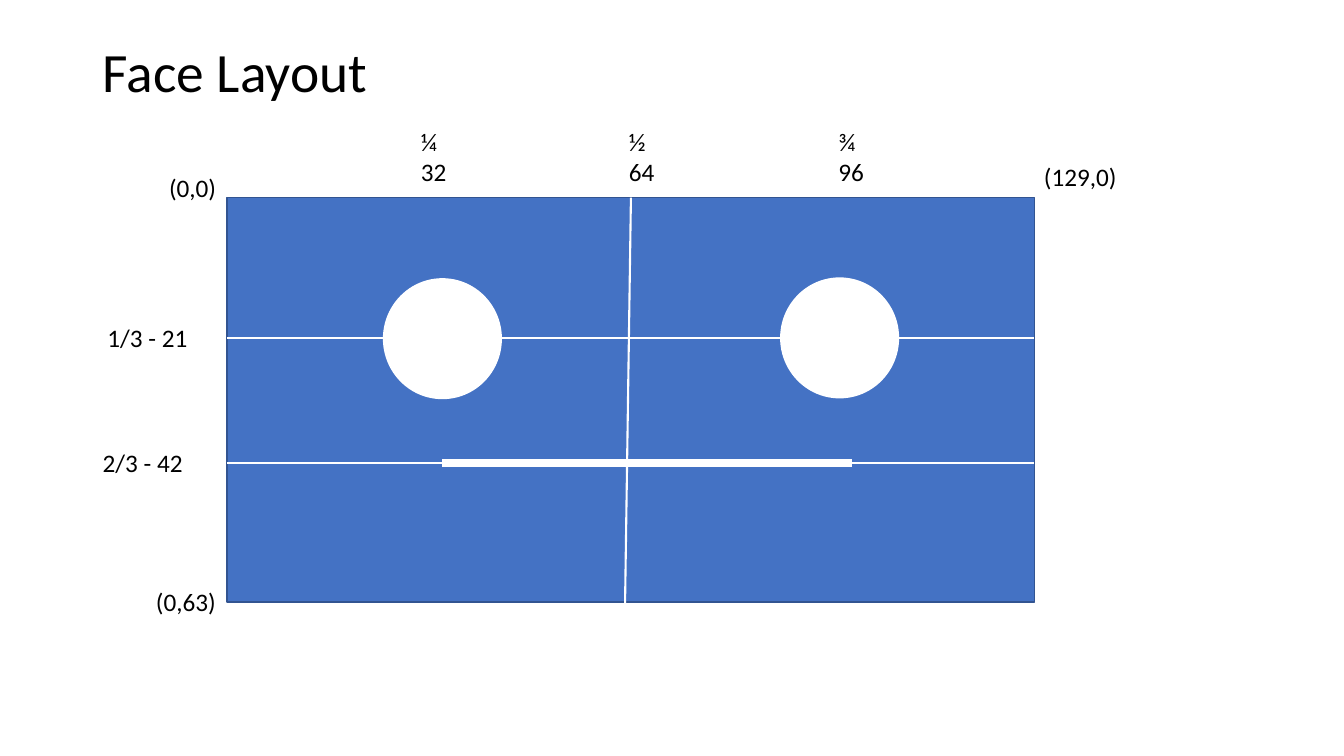
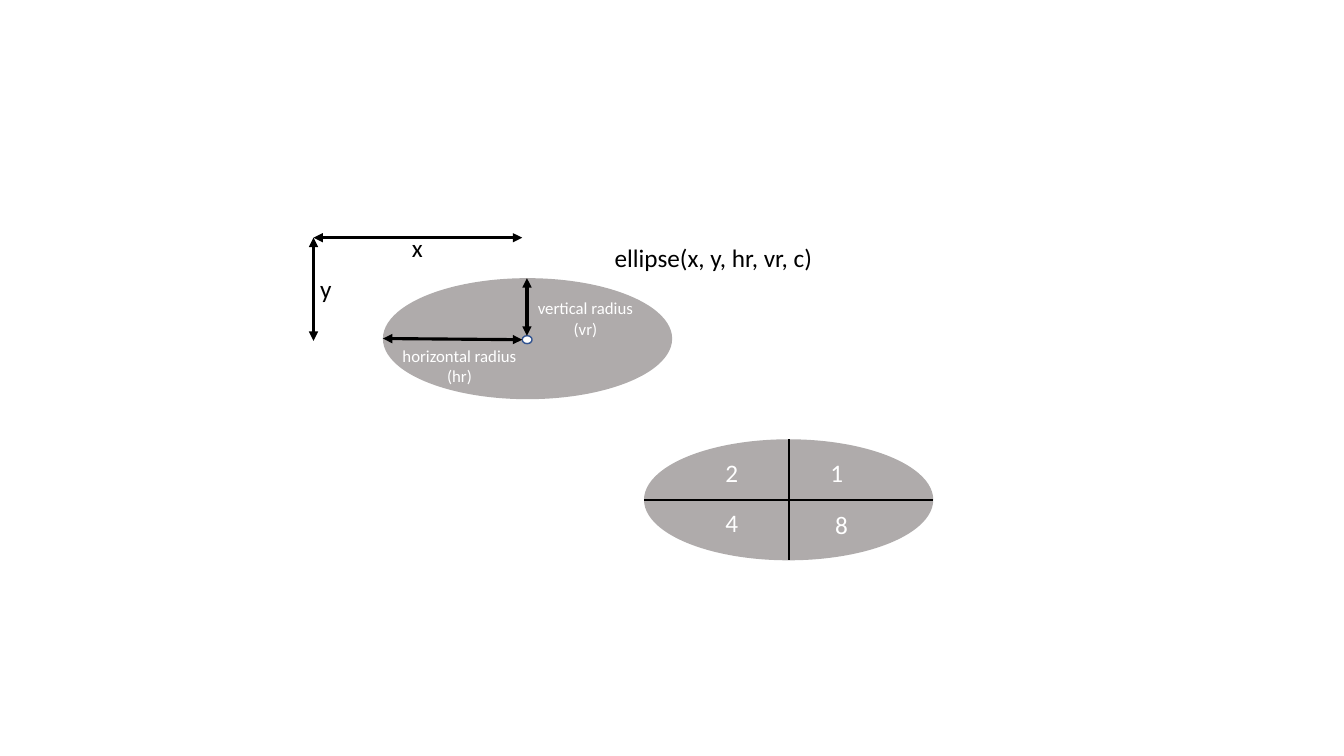
from pptx import Presentation
from pptx.dml.color import RGBColor
from pptx.enum.shapes import MSO_CONNECTOR as Link, MSO_SHAPE as Preset
from pptx.enum.text import MSO_ANCHOR as Anchor, MSO_AUTO_SIZE as Fit, PP_ALIGN as Align
from pptx.oxml.ns import qn
from pptx.util import Cm, Pt
from lxml.etree import SubElement

BLACK = RGBColor(0x00, 0x00, 0x00)
WHITE = RGBColor(0xFF, 0xFF, 0xFF)
BLUE = RGBColor(0x44, 0x72, 0xC4)
NAVY = RGBColor(0x32, 0x54, 0x91)
GREY = RGBColor(0xAF, 0xAB, 0xAB)
FONT = "Calibri"
TITLE_ONLY, BLANK = 5, 6


class Deck:
    def __init__(self):
        self.show = Presentation()
        self.show.slide_width = Cm(33.87)
        self.show.slide_height = Cm(19.05)
        self.slide = None

    def new_slide(self, layout):
        self.slide = self.show.slides.add_slide(self.show.slide_layouts[layout])

    def add_words(self, paragraph, words, size, color, align=Align.LEFT):
        paragraph.alignment = align
        run = paragraph.add_run()
        run.text = words
        run.font.name = FONT
        run.font.size = Pt(size)
        run.font.color.rgb = color

    def title(self, words):
        heading = self.slide.shapes.title
        heading.left, heading.top = Cm(2.34), Cm(1.02)
        heading.width, heading.height = Cm(29.21), Cm(1.7)
        frame = heading.text_frame
        frame.auto_size = Fit.NONE
        frame.vertical_anchor = Anchor.MIDDLE
        frame.paragraphs[0].line_spacing = 0.9
        self.add_words(frame.paragraphs[0], words, 39.6, BLACK)

    def label(self, lines, x, y, width, height=1.02, size=18, color=BLACK, align=Align.LEFT):
        box = self.slide.shapes.add_textbox(Cm(x), Cm(y), Cm(width), Cm(height))
        frame = box.text_frame
        frame.word_wrap = False
        frame.auto_size = Fit.SHAPE_TO_FIT_TEXT
        for i, words in enumerate(lines):
            paragraph = frame.add_paragraph() if i else frame.paragraphs[0]
            self.add_words(paragraph, words, size, color, align)

    def shape(self, preset, x, y, width, height, fill, outline=None):
        figure = self.slide.shapes.add_shape(preset, Cm(x), Cm(y), Cm(width), Cm(height))
        figure.shadow.inherit = False
        figure.fill.solid()
        figure.fill.fore_color.rgb = fill
        if outline is None:
            figure.line.fill.background()
        else:
            figure.line.color.rgb = outline
            figure.line.width = Pt(1)

    def line(self, x1, y1, x2, y2, color, weight=1.5, arrows=False):
        link = self.slide.shapes.add_connector(Link.STRAIGHT, Cm(x1), Cm(y1), Cm(x2), Cm(y2))
        link.line.color.rgb = color
        link.line.width = Pt(weight)
        properties = link._element.spPr
        if arrows:
            for end in ("a:headEnd", "a:tailEnd"):
                SubElement(properties.find(qn("a:ln")), qn(end), type="triangle")
        SubElement(properties, qn("a:effectLst"))


deck = Deck()

deck.new_slide(TITLE_ONLY)
deck.title("Face Layout")
face_left, face_top, face_width, face_height = 5.72, 4.98, 20.35, 10.19
face_right = face_left + face_width
eye_line, mouth_line = 8.51, 11.66
deck.shape(Preset.RECTANGLE, face_left, face_top, face_width, face_height, BLUE, NAVY)
for corner, x, y, width in (("(0,0)", 4.01, 4.22, 1.73), ("(0,63)", 3.68, 14.66, 2.03),
                            ("(129,0)", 26.06, 3.94, 2.36)):
    deck.label([corner], x, y, width)
for third, x, y in (("1/3 - 21", 2.46, eye_line), ("2/3 - 42", 2.34, mouth_line)):
    deck.line(face_left, y, face_right, y, WHITE)
    deck.label([third], x, y - 0.51, 2.54)
for quarter, column, x in (("¼", "32", 10.36), ("½", "64", 15.6), ("¾", "96", 20.88)):
    deck.label([quarter, column], x, 3.05, 1.17, 1.8)
deck.line(15.9, face_top, 15.75, 15.34, WHITE)
for eye_left, eye_top in ((9.65, 7.01), (19.66, 6.99)):
    deck.shape(Preset.OVAL, eye_left, eye_top, 3, 3.05, WHITE)
deck.line(11.15, mouth_line, 21.46, mouth_line, WHITE, 6)

deck.new_slide(BLANK)
oval_width, oval_height = 7.29, 3.05
oval_left, oval_top = 9.65, 7.01
origin_x, origin_y = 7.9, 5.99
dot_left, dot_top = 13.16, 8.46
center_x = 13.28
deck.shape(Preset.OVAL, oval_left, oval_top, oval_width, oval_height, GREY)
deck.shape(Preset.OVAL, dot_left, dot_top, 0.25, 0.2, WHITE, NAVY)
for measure in ((origin_x, origin_y, dot_left, origin_y),
                (origin_x, origin_y, origin_x, 8.59),
                (dot_left, 8.56, oval_left, 8.53),
                (center_x, dot_top, center_x, oval_top)):
    deck.line(*measure, BLACK, 2.25, arrows=True)
for words, x, y, width in (("x", 10.13, 5.74, 0.79), ("y", 7.82, 6.76, 0.81),
                           ("ellipse(x, y, hr, vr, c)", 15.24, 5.99, 5.56)):
    deck.label([words], x, y, width)
for radius, short, x, y, width in (("vertical radius", "(vr)", center_x, 7.39, 2.95),
                                   ("horizontal radius", "(hr)", 9.88, 8.59, 3.4)):
    deck.label([radius, short], x, y, width, 1.27, 12, WHITE, Align.CENTER)

quad_left, quad_top = 16.23, 11.07
quad_x, quad_y = quad_left + oval_width / 2, quad_top + oval_height / 2
deck.shape(Preset.OVAL, quad_left, quad_top, oval_width, oval_height, GREY)
for bit, x, y in (("1", 20.68, 11.4), ("2", 18.03, 11.4), ("4", 18.03, 12.67), ("8", 20.8, 12.7)):
    deck.label([bit], x, y, 0.84, color=WHITE)
deck.line(quad_x, quad_top, quad_x, quad_top + oval_height, BLACK)
deck.line(quad_left, quad_y, quad_left + oval_width, quad_y, BLACK)

deck.show.save("out.pptx")
